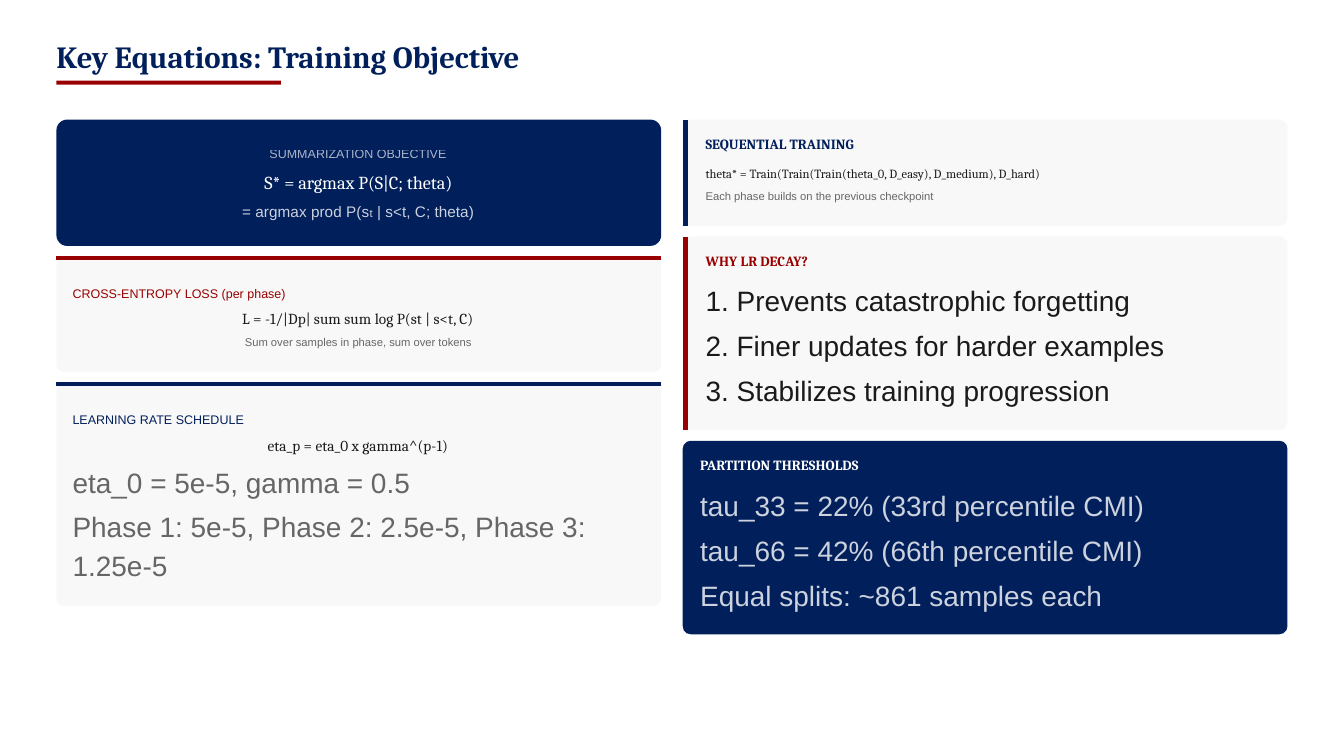
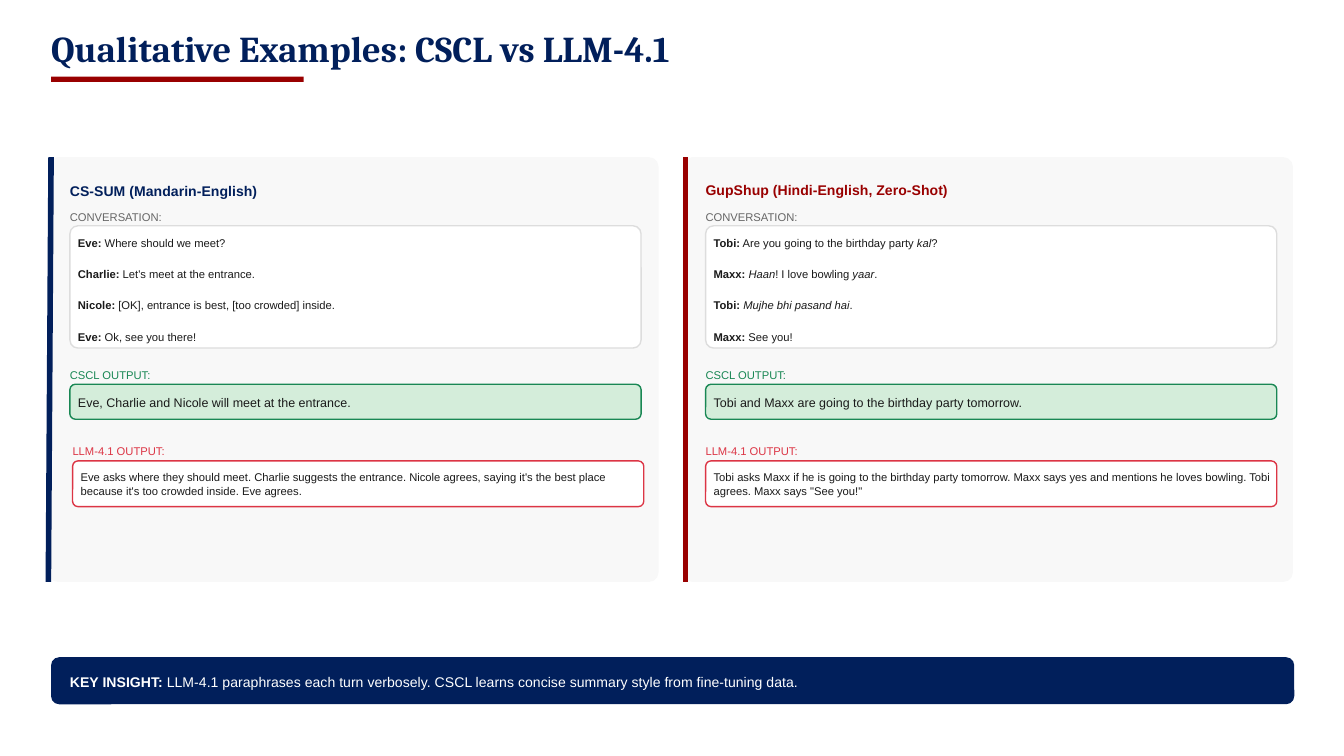
"""Builds two slides: training equations and qualitative examples."""
import pptx
import pptx.util
import pptx.dml.color
import pptx.enum.shapes
import pptx.enum.text
import pptx.oxml.ns
from lxml import etree

Inches, Pt = pptx.util.Inches, pptx.util.Pt
rgb = pptx.dml.color.RGBColor.from_string
qn = pptx.oxml.ns.qn
Shape = pptx.enum.shapes.MSO_SHAPE
Align = pptx.enum.text.PP_ALIGN

NAVY, RED, PALE, WHITE = "011F5B", "990000", "F8F8F8", "FFFFFF"
INK, GREY, RULE = "1A1A1A", "666666", "DDDDDD"
GREEN, MINT, ROSE = "198754", "D4EDDA", "DC3545"
SANS, SERIF = "Arial", "Cambria"


def write(slide, at, text, size, color, font=SANS, bold=False, align=Align.LEFT,
          lead=1.4, gap=0, alpha=100, box=None):
    """Write one string, or paragraphs of (text, style) pieces; b, i, s mark bold, italic, small."""
    at = [Inches(n) for n in at]
    if box is None:
        box = slide.shapes.add_textbox(*at)
    box.left, box.top, box.width, box.height = at
    frame = box.text_frame
    frame.word_wrap = True
    frame.auto_size = pptx.enum.text.MSO_AUTO_SIZE.NONE
    frame.vertical_anchor = pptx.enum.text.MSO_ANCHOR.TOP
    frame.margin_left = frame.margin_right = frame.margin_top = frame.margin_bottom = 0
    paras = [[(text, "")]] if isinstance(text, str) else text
    for i, parts in enumerate(paras):
        para = frame.add_paragraph() if i else frame.paragraphs[0]
        para.alignment = align
        para.line_spacing = Pt(round(size * lead, 1))
        para.space_before = Pt(0)
        para.space_after = Pt(gap if i < len(paras) - 1 else 0)
        for words, style in parts:
            run = para.add_run()
            run.text = words
            run.font.name = font
            run.font.size = Pt(6 if style == "s" else size)
            run.font.bold = bold or style == "b"
            run.font.italic = style == "i"
            run.font.color.rgb = rgb(color)
            if alpha < 100:
                tint = run._r.xpath(".//a:srgbClr")[0]
                etree.SubElement(tint, qn("a:alpha")).set("val", str(alpha * 1000))


def draw(slide, at, fill, round_by=0, line=None, edge=None):
    """Draw a filled box with corners in inches and, if given, an edge (colour, width, points)."""
    kind = Shape.ROUNDED_RECTANGLE if round_by else Shape.RECTANGLE
    box = slide.shapes.add_shape(kind, *[Inches(n) for n in at])
    box.shadow.inherit = False
    if round_by:
        box.adjustments[0] = round_by / at[3]
    box.fill.solid()
    box.fill.fore_color.rgb = rgb(fill)
    if line:
        box.line.color.rgb = rgb(line)
        box.line.width = Pt(0.75)
    else:
        box.line.fill.background()
    if edge:
        color, width, ends = edge
        bar = slide.shapes.add_connector(
            pptx.enum.shapes.MSO_CONNECTOR.STRAIGHT, *[Inches(n) for n in ends])
        bar.line.color.rgb = rgb(color)
        bar.line.width = Pt(width)
        etree.SubElement(bar._element.spPr, qn("a:effectLst"))


deck = pptx.Presentation()
deck.slide_width = Inches(10)
deck.slide_height = deck.slide_width * 9 // 16

heads = [
    ("Key Equations: Training Objective", 16.5, (0.42, 0.33, 4.69, 0.23), (0.42, 0.6, 1.67, 0.03)),
    ("Qualitative Examples: CSCL vs LLM-4.1", 19.5, (0.38, 0.25, 5.59, 0.27), (0.38, 0.57, 1.88, 0.04)),
]
pages = []
for text, size, at, rule in heads:
    page = deck.slides.add_slide(deck.slide_layouts[5])
    page.background.fill.solid()
    page.background.fill.fore_color.rgb = rgb(WHITE)
    write(page, at, text, size, NAVY, SERIF, True, lead=1, box=page.shapes.title)
    draw(page, rule, RED)
    pages.append(page)
maths, cases = pages

LEFT, RIGHT, WIDE = 0.42, 5.08, 4.5
draw(maths, (LEFT, 0.89, WIDE, 0.94), NAVY, 0.08)
goal = [
    (1.07, 0.13, "SUMMARIZATION OBJECTIVE", 6.75, SANS, 67),
    (1.25, 0.19, "S* = argmax P(S|C; theta)", 9.75, SERIF, 100),
    (1.48, 0.16, [[("= argmax prod P(s", ""), ("t", "s"), (" | s<t, C; theta)", "")]], 8.25, SANS, 80),
]
for y, high, text, size, font, alpha in goal:
    write(maths, (0.52, y, 4.29, high), text, size, WHITE, font, align=Align.CENTER, alpha=alpha)

rules = [
    (1.91, 0.86, RED, "CROSS-ENTROPY LOSS (per phase)", "L = -1/|Dp| sum sum log P(st | s<t, C)"),
    (2.85, 1.66, NAVY, "LEARNING RATE SCHEDULE", "eta_p = eta_0 x gamma^(p-1)"),
]
for y, high, color, name, math in rules:
    draw(maths, (LEFT, y, WIDE, high), PALE, 0.06,
         edge=(color, 2.25, (LEFT, y + 0.01, LEFT + WIDE, y + 0.01)))
    write(maths, (0.54, y + 0.2, 4.33, 0.13), name, 6.75, color)
    write(maths, (0.5, y + 0.37, 4.33, 0.16), math, 8.25, INK, SERIF, align=Align.CENTER)
write(maths, (0.5, 2.48, 4.33, 0.12), "Sum over samples in phase, sum over tokens", 6, GREY, align=Align.CENTER)
write(maths, (0.54, 3.42, 4.33, 0.29), "eta_0 = 5e-5, gamma = 0.5", 15, GREY)
write(maths, (0.54, 3.75, 4.33, 0.58), "Phase 1: 5e-5, Phase 2: 2.5e-5, Phase 3: 1.25e-5", 15, GREY)

cards = [
    (0.89, 0.79, PALE, NAVY, 5.25, "SEQUENTIAL TRAINING", INK, 100, []),
    (1.76, 1.44, PALE, RED, 5.25, "WHY LR DECAY?", INK, 100, [
        "1. Prevents catastrophic forgetting",
        "2. Finer updates for harder examples",
        "3. Stabilizes training progression"]),
    (3.28, 1.44, NAVY, None, 5.21, "PARTITION THRESHOLDS", WHITE, 80, [
        "tau_33 = 22% (33rd percentile CMI)",
        "tau_66 = 42% (66th percentile CMI)",
        "Equal splits: ~861 samples each"]),
]
for y, high, fill, color, x, name, ink, alpha, lines in cards:
    edge = (color, 3, (RIGHT + 0.02, y, RIGHT + 0.02, y + high)) if color else None
    draw(maths, (RIGHT, y, WIDE, high), fill, 0.06, edge=edge)
    write(maths, (x, y + 0.12, 4.3, 0.12), name, 7.5, color or WHITE, SERIF, True, lead=1.2)
    for i, text in enumerate(lines):
        write(maths, (x, y + 0.31 + i * 0.67 / 2, 4.3, 0.29), text, 15, ink, alpha=alpha)
write(maths, (5.25, 1.2, 4.29, 0.15), "theta* = Train(Train(Train(theta_0, D_easy), D_medium), D_hard)",
      6.75, INK, SERIF, lead=1.6)
write(maths, (5.25, 1.39, 4.29, 0.12), "Each phase builds on the previous checkpoint", 6, GREY)

panels = [
    (0.36, 0.38, 0.36, 0.52, 0.54, 1.34, NAVY, "CS-SUM (Mandarin-English)", [
        [("Eve:", "b"), (" Where should we meet?", "")],
        [("Charlie:", "b"), (" Let's meet at the entrance.", "")],
        [("Nicole:", "b"), (" [OK], entrance is best, [too crowded] inside.", "")],
        [("Eve:", "b"), (" Ok, see you there!", "")]],
     "Eve, Charlie and Nicole will meet at the entrance.",
     "Eve asks where they should meet. Charlie suggests the entrance. Nicole agrees, "
     "saying it's the best place because it's too crowded inside. Eve agrees."),
    (5.08, 5.1, 5.1, 5.25, 5.25, 1.33, RED, "GupShup (Hindi-English, Zero-Shot)", [
        [("Tobi:", "b"), (" Are you going to the birthday party ", ""), ("kal", "i"), ("?", "")],
        [("Maxx: ", "b"), ("Haan", "i"), ("! I love bowling ", ""), ("yaar", "i"), (".", "")],
        [("Tobi: ", "b"), ("Mujhe bhi pasand hai", "i"), (".", "")],
        [("Maxx:", "b"), (" See you!", "")]],
     "Tobi and Maxx are going to the birthday party tomorrow.",
     "Tobi asks Maxx if he is going to the birthday party tomorrow. Maxx says yes and "
     "mentions he loves bowling. Tobi agrees. Maxx says \"See you!\""),
]
for x, top, foot, inner, last, y, color, name, talk, short, long in panels:
    draw(cases, (x, 1.17, 4.54, 3.16), PALE, 0.07, edge=(color, 3, (top, 1.17, foot, 4.33)))
    write(cases, (inner, y, 4.33, 0.15), name, 7.5, color, bold=True)
    blocks = [
        (inner, 1.55, "CONVERSATION:", GREY, 1.68, 0.91, 0.06, WHITE, RULE, talk, 6, 1.4),
        (inner, 2.72, "CSCL OUTPUT:", GREEN, 2.86, 0.26, 0.04, MINT, GREEN, short, 6.75, 1.4),
        (last, 3.29, "LLM-4.1 OUTPUT:", ROSE, 3.43, 0.34, 0.04, WHITE, ROSE, long, 6, 1.3),
    ]
    for at, label, tag, ink, y, high, bend, fill, line, text, size, lead in blocks:
        write(cases, (at, label, 4.33, 0.12), tag, 6, ink)
        draw(cases, (at, y, 4.25, high), fill, bend, line)
        write(cases, (at + 0.06, y + 0.06, 4.21, high - 0.12), text, size, INK, lead=lead, gap=8.4)

draw(cases, (0.38, 4.89, 9.25, 0.35), NAVY, 0.06)
write(cases, (0.52, 4.99, 9.14, 0.15), [[
    ("KEY INSIGHT:", "b"),
    (" LLM-4.1 paraphrases each turn verbosely. CSCL learns concise summary style from fine-tuning data.", ""),
]], 7.5, WHITE)

deck.save("out.pptx")
